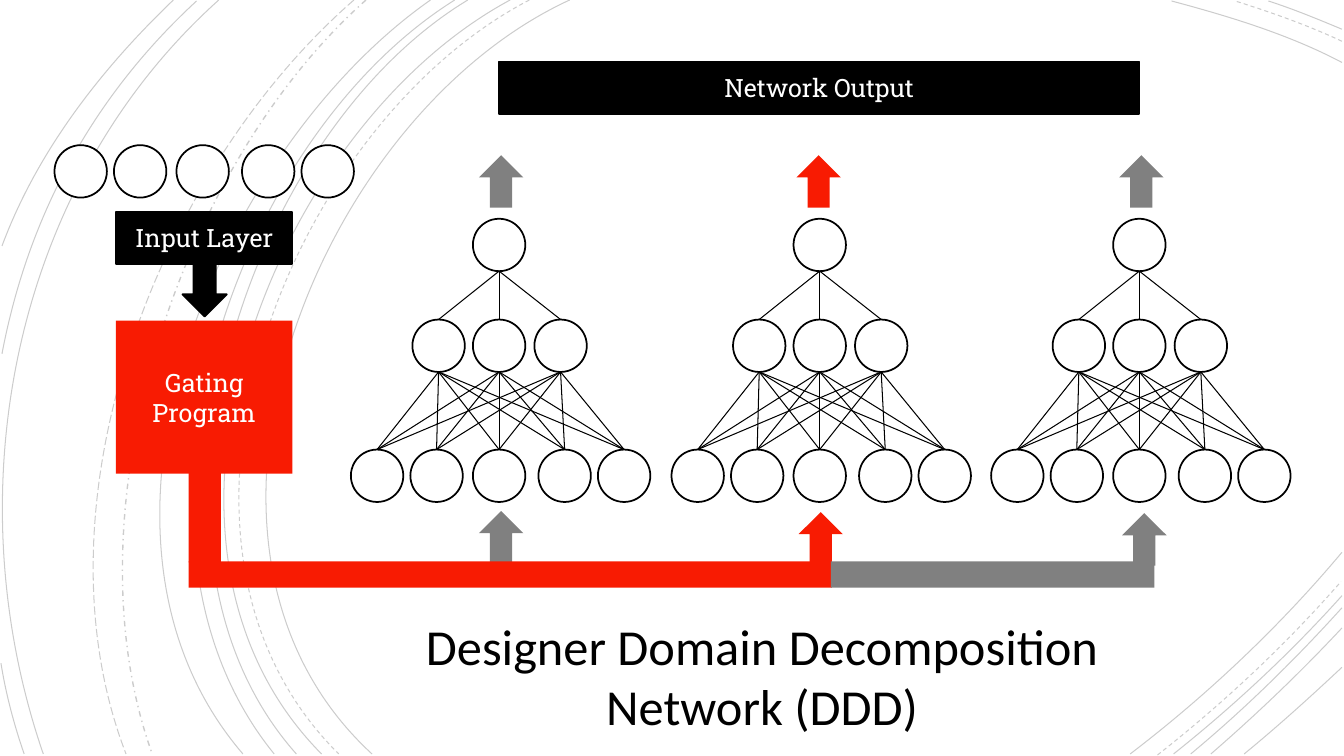
from dataclasses import dataclass
from itertools import product

from lxml.etree import SubElement
from pptx import Presentation
from pptx.dml.color import RGBColor
from pptx.enum.dml import MSO_LINE_DASH_STYLE as Dash
from pptx.enum.shapes import MSO_CONNECTOR as Connector, MSO_SHAPE as Shape
from pptx.enum.text import MSO_ANCHOR as Anchor, MSO_AUTO_SIZE as AutoSize, PP_ALIGN as Align
from pptx.oxml.ns import qn
from pptx.util import Pt


@dataclass(frozen=True)
class Theme:
    """Colours, fonts and sizes used on the slide."""
    black: str = "000000"
    white: str = "FFFFFF"
    red: str = "F81B02"
    gray: str = "808080"
    label_font: str = "Roboto Slab"
    title_font: str = "Calibri"
    label_size: int = 18
    title_size: int = 36
    outline: float = 1.25
    hairline: float = 0.75
    arc_alpha: int = 20000


THEME = Theme()
PX = 9144
NODE = 52
ARROW_WIDTH, ARROW_HEIGHT = 44, 52
BAR_HEIGHT = 26
FIVE_NODES = (0, 59, 121, 186, 245)
THREE_NODES = (61, 121, 182)
ONE_NODE = (121,)
TREE_LEFTS = (348, 666, 983)
ARCS = [
    ((565, 0), (315, 115), (143, 540), (369, 748), None),
    ((1331, 62), (1278, 34), (1218, 16), (1162, 1), None),
    ((1121, 748), (1197, 690), (1269, 622), (1331, 548), None),
    ((525, 0), (285, 125), (123, 537), (336, 748), Dash.DASH),
    ((1331, 41), (1297, 25), (1260, 12), (1225, 1), Dash.DASH),
    ((1148, 749), (1213, 698), (1275, 640), (1330, 577), Dash.DASH),
    ((506, 0), (270, 127), (110, 537), (319, 748), None),
    ((1331, 29), (1307, 19), (1283, 9), (1258, 1), None),
    ((1164, 748), (1223, 701), (1280, 648), (1331, 591), None),
    ((464, 0), (244, 133), (110, 541), (294, 748), None),
    ((1181, 748), (1234, 704), (1284, 655), (1331, 603), None),
    ((451, 0), (231, 138), (97, 533), (272, 748), None),
    ((1201, 748), (1246, 709), (1290, 667), (1331, 623), None),
    ((427, 0), (217, 147), (53, 529), (241, 748), None),
    ((1234, 748), (1267, 721), (1299, 692), (1331, 662), None),
    ((363, 0), (176, 166), (65, 509), (151, 748), Dash.DASH_DOT),
    ((351, 0), (157, 169), (29, 499), (125, 748), Dash.LONG_DASH),
    ((217, 0), (11, 185), (-46, 490), (43, 748), None),
    ((195, 1), (92, 96), (28, 214), (2, 351), None),
    ((1, 658), (6, 689), (14, 719), (24, 748), None),
    ((172, 0), (100, 69), (37, 150), (2, 244), None),
]


def rgb(color):
    """Turn a hex string into a colour."""
    return RGBColor.from_string(color)


def add_block(parent, kind, box, fill=None, line=None):
    """Add a preset shape in a px box with optional fill and outline."""
    shape = parent.shapes.add_shape(kind, *(length * PX for length in box))
    shape.shadow.inherit = False
    if fill:
        shape.fill.solid()
        shape.fill.fore_color.rgb = rgb(fill)
    else:
        shape.fill.background()
    if line:
        shape.line.color.rgb = rgb(line)
        shape.line.width = Pt(THEME.outline)
    else:
        shape.line.fill.background()
    return shape


def write(shape, text, font, size, color):
    """Put centred text in a shape and format its runs."""
    frame = shape.text_frame
    frame.word_wrap = True
    frame.text = text
    for paragraph in frame.paragraphs:
        paragraph.alignment = Align.CENTER
        for run in paragraph.runs:
            run.font.name = font
            run.font.size = Pt(size)
            run.font.color.rgb = rgb(color)


def add_label(parent, box, text, fill, line=None):
    """Add a filled rectangle with a white label."""
    shape = add_block(parent, Shape.RECTANGLE, box, fill, line)
    shape.text_frame.vertical_anchor = Anchor.MIDDLE
    write(shape, text, THEME.label_font, THEME.label_size, THEME.white)


def add_arrow(parent, left, top, fill):
    """Add an upward block arrow."""
    add_block(parent, Shape.UP_ARROW, (left, top, ARROW_WIDTH, ARROW_HEIGHT), fill)


def add_nodes(parent, left, top, offsets, fill=None):
    """Add a row of circular nodes."""
    for offset in offsets:
        add_block(parent, Shape.OVAL, (left + offset, top, NODE, NODE), fill, THEME.black)


def add_links(parent, left, lower_top, lower, upper_top, upper):
    """Join every node of one row with every node of the row above."""
    middle = left + NODE // 2
    for end, start in product(upper, lower):
        points = (middle + start, lower_top, middle + end, upper_top + NODE)
        link = parent.shapes.add_connector(Connector.STRAIGHT, *(value * PX for value in points))
        link.line.color.rgb = rgb(THEME.black)
        link.line.width = Pt(THEME.hairline)
        SubElement(link._element.spPr, qn("a:effectLst"))


def add_arc(parent, corners, dash):
    """Add one faint cubic curve through its four control points."""
    builder = parent.shapes.build_freeform(*corners[0], scale=PX)
    builder.add_line_segments(corners[1:], close=False)
    arc = builder.convert_to_shape()
    outline = next(arc._element.iter(qn("a:path")))
    segments = outline.findall(qn("a:lnTo"))
    curve = SubElement(outline, qn("a:cubicBezTo"))
    for segment in segments:
        curve.append(segment[0])
        outline.remove(segment)
    arc.shadow.inherit = False
    arc.fill.background()
    arc.line.color.rgb = rgb(THEME.black)
    arc.line.width = Pt(1 if dash == Dash.DASH_DOT else THEME.hairline)
    if dash:
        arc.line.dash_style = dash
    color = next(arc._element.spPr.iter(qn("a:srgbClr")))
    SubElement(color, qn("a:alpha"), val=str(THEME.arc_alpha))


def draw_backdrop(slide):
    """Draw the faint arcs behind the diagram."""
    group = slide.shapes.add_group_shape()
    for *corners, dash in ARCS:
        add_arc(group, corners, dash)


def draw_tree(slide, left, top):
    """Draw one subnetwork of five, three and one nodes."""
    group = slide.shapes.add_group_shape()
    rows = ((top + 229, FIVE_NODES), (top + 100, THREE_NODES), (top, ONE_NODE))
    for row_top, offsets in rows:
        add_nodes(group, left, row_top, offsets)
    for lower, upper in zip(rows, rows[1:]):
        add_links(group, left, *lower, *upper)


def draw_route(slide, left, top):
    """Draw the gated path that feeds the subnetworks."""
    for offset, rise, fill in ((288, 50, THEME.gray), (605, 49, THEME.red), (926, 48, THEME.gray)):
        add_arrow(slide, left + offset, top - rise, fill)
    add_block(slide, Shape.RECTANGLE, (left, top - 174, 32, 175), THEME.red)
    add_block(slide, Shape.RECTANGLE, (left, top, 638, BAR_HEIGHT), THEME.red)
    add_block(slide, Shape.RECTANGLE, (left + 637, top, 321, BAR_HEIGHT), THEME.gray)


def draw_input(slide, left, top):
    """Draw the input nodes, their label and the gating program."""
    column = left + 61
    add_label(slide, (column, top + 174, 175, 152), "Gating\nProgram", THEME.red)
    add_block(slide, Shape.DOWN_ARROW, (column + 66, top + 118, ARROW_WIDTH, ARROW_HEIGHT),
              THEME.black, THEME.black)
    add_label(slide, (column, top + 66, 175, 52), "Input Layer", THEME.black, THEME.black)
    add_nodes(slide, left, top, FIVE_NODES, THEME.white)


def draw_output(slide, left, top):
    """Draw the output bar and the arrows that lead to it."""
    for offset, fill in ((-20, THEME.gray), (295, THEME.red), (615, THEME.gray)):
        add_arrow(slide, left + offset, top + 93, fill)
    add_label(slide, (left, top, 635, 52), "Network Output", THEME.black, THEME.black)


def draw_title(slide, box):
    """Write the slide title."""
    title = slide.shapes.add_textbox(*(length * PX for length in box))
    write(title, "Designer Domain Decomposition Network (DDD)",
          THEME.title_font, THEME.title_size, THEME.black)
    title.text_frame.auto_size = AutoSize.SHAPE_TO_FIT_TEXT


def main():
    """Build and save the slide."""
    presentation = Presentation()
    presentation.slide_width = 1333 * PX
    presentation.slide_height = 750 * PX
    slide = presentation.slides.add_slide(presentation.slide_layouts[6])
    draw_backdrop(slide)
    for left in reversed(TREE_LEFTS):
        draw_tree(slide, left, 217)
    draw_route(slide, 187, 557)
    draw_input(slide, 54, 144)
    draw_output(slide, 495, 61)
    draw_title(slide, (341, 605, 830, 131))
    presentation.save("out.pptx")


if __name__ == "__main__":
    main()
